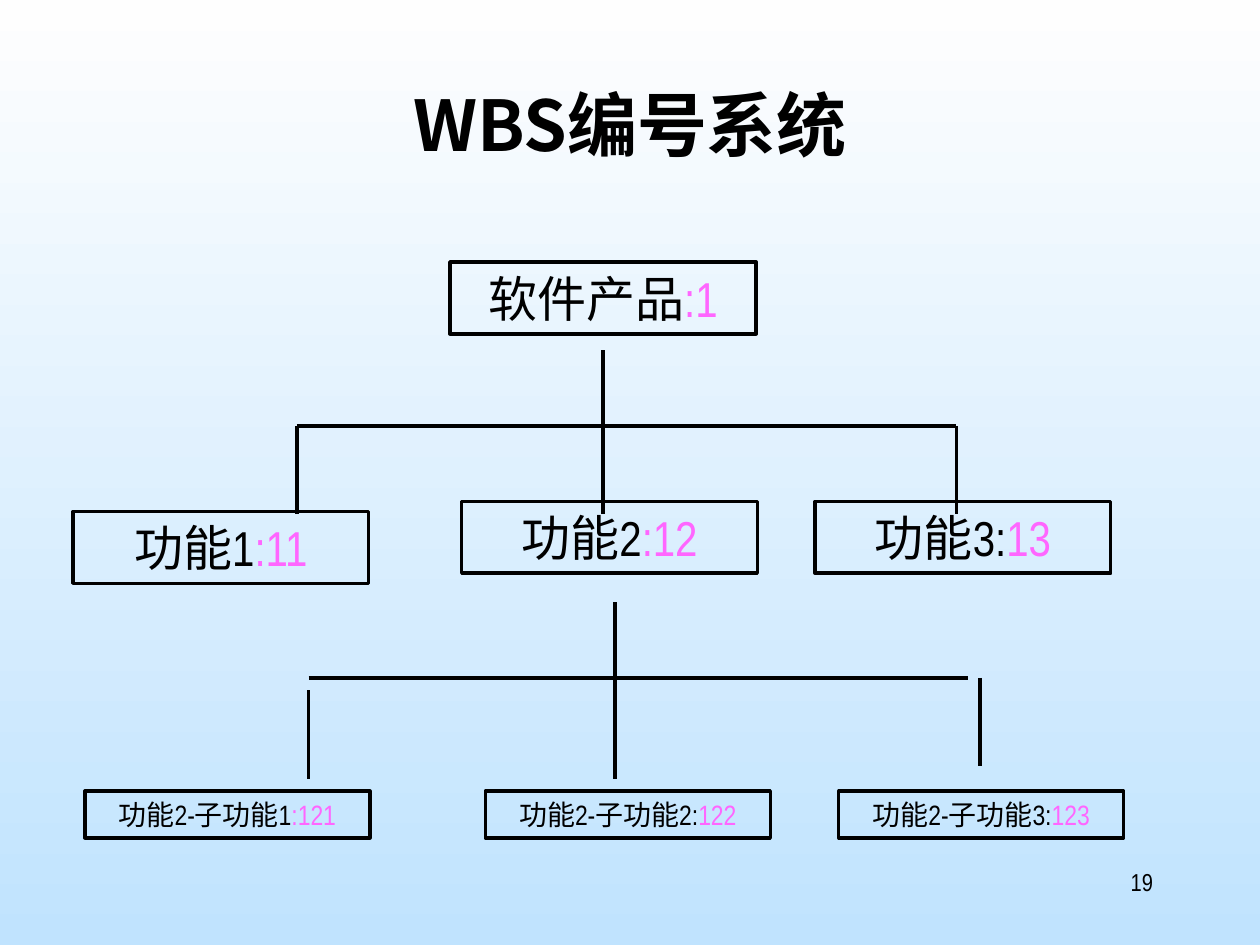
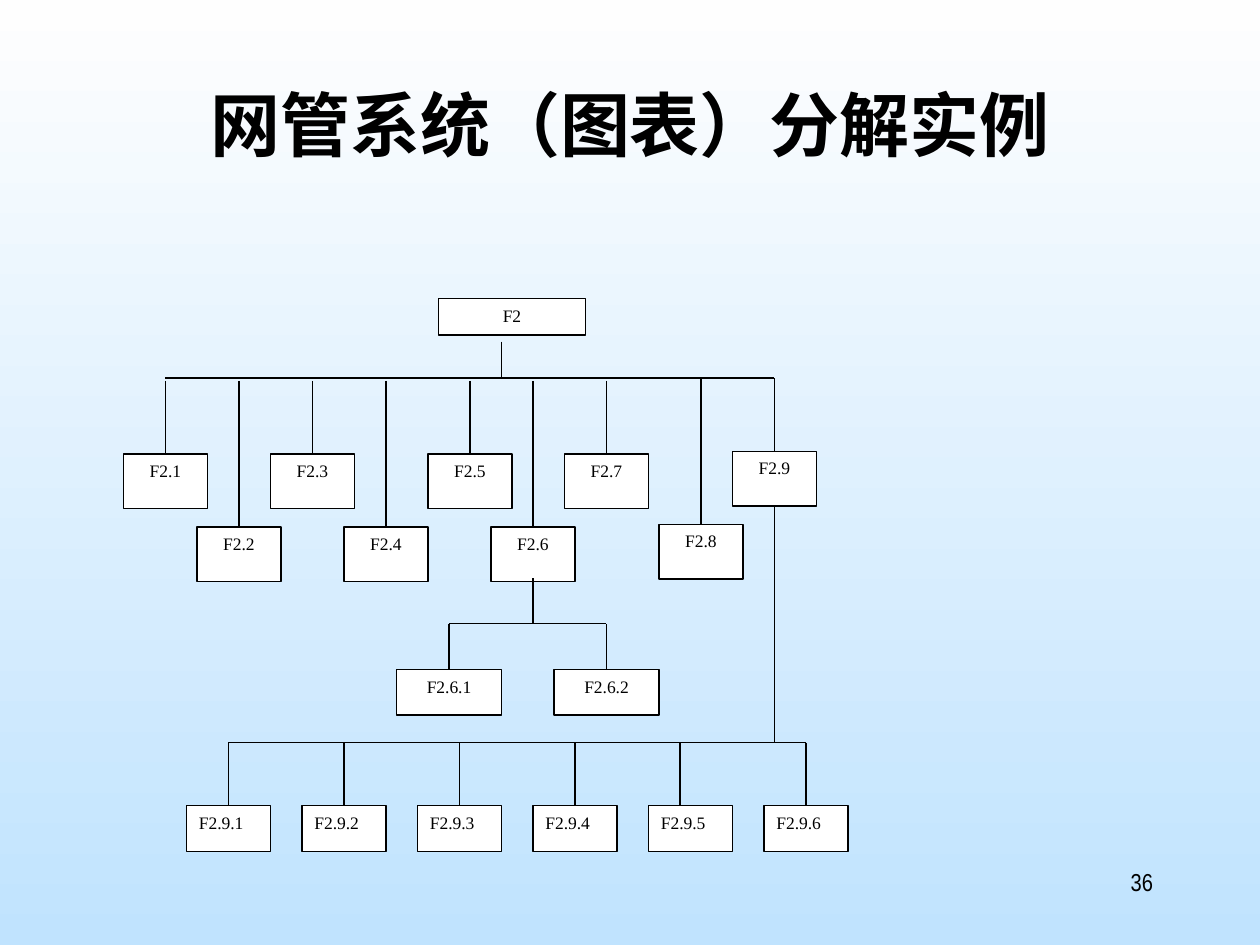
import dataclasses

import lxml.etree
import pptx
import pptx.dml.color
import pptx.enum.shapes
import pptx.enum.text
import pptx.oxml.ns
import pptx.util

BLACK, WHITE, PINK = "000000", "FFFFFF", "FF66FF"
SKY_TOP, SKY_BOTTOM = "FEFEFE", "C0E3FE"
TITLE_FONT, BODY_FONT, CHART_FONT = "Noto Sans CJK SC", "Arial Narrow", "Times New Roman"
SLIDE_WIDTH, SLIDE_HEIGHT = 10, 7.5
ALIGN = pptx.enum.text.PP_ALIGN


@dataclasses.dataclass
class Grid:
    """A box in inches, divided into columns and rows."""
    left: float
    top: float
    width: float
    height: float
    columns: int = 1
    rows: int = 1

    def x(self, column):
        return pptx.util.Inches(self.left + self.width * column / self.columns)

    def y(self, row):
        return pptx.util.Inches(self.top + self.height * row / self.rows)

    def frame(self, column, row, across, down):
        left, top = self.x(column), self.y(row)
        return left, top, self.x(column + across) - left, self.y(row + down) - top


TITLE_BOX = Grid(0.75, 0.67, 8.5, 1.25)
NUMBER_BOX = Grid(7.17, 6.83, 2.08, 0.5)
NUMBERING_BOX = Grid(0.58, 2.08, 8.32, 4.6, columns=89, rows=46)
BREAKDOWN_BOX = Grid(0.98, 2.37, 5.75, 4.35, columns=69, rows=60)


def color(value):
    return pptx.dml.color.RGBColor.from_string(value)


def write(frame, parts, font, size, align=ALIGN.CENTER, bold=False):
    """Fill a text frame with one paragraph of (text, colour) parts."""
    frame.word_wrap = True
    frame.vertical_anchor = pptx.enum.text.MSO_ANCHOR.TOP
    para = frame.paragraphs[0]
    para.alignment = align
    para.font.name, para.font.size, para.font.bold = font, pptx.util.Pt(size), bold
    para.font.color.rgb = color(BLACK)
    # East Asian letters take the same font
    latin = next(para._p.iter(pptx.oxml.ns.qn("a:latin")))
    east_asian = lxml.etree.Element(pptx.oxml.ns.qn("a:ea"), typeface=font)
    latin.addnext(east_asian)
    for text, ink in parts:
        span = para.add_run()
        span.text = text
        if ink != BLACK:
            span.font.color.rgb = color(ink)
    return para


def add_node(page, frame, line_width, fill=None):
    node = page.shapes.add_shape(pptx.enum.shapes.MSO_SHAPE.RECTANGLE, *frame)
    node.shadow.inherit = False
    if fill:
        node.fill.solid()
        node.fill.fore_color.rgb = color(fill)
    else:
        node.fill.background()
    node.line.color.rgb = color(BLACK)
    node.line.width = pptx.util.Pt(line_width)
    return node.text_frame


def add_lines(page, grid, lines, width):
    """Draw (column, row, column, row) lines on the grid."""
    for x1, y1, x2, y2 in lines:
        line = page.shapes.add_connector(
            pptx.enum.shapes.MSO_CONNECTOR.STRAIGHT,
            grid.x(x1), grid.y(y1), grid.x(x2), grid.y(y2))
        line.line.color.rgb = color(BLACK)
        line.line.width = pptx.util.Pt(width)
        lxml.etree.SubElement(line._element.spPr, pptx.oxml.ns.qn("a:effectLst"))


def paint_background(deck):
    fill = deck.slide_master.background.fill
    fill.gradient()
    fill.gradient_angle = 270
    for stop, shade in zip(fill.gradient_stops, (SKY_TOP, SKY_BOTTOM)):
        stop.color.rgb = color(shade)


def add_page(deck, heading, number):
    """Title-only slide with its heading and page number."""
    page = deck.slides.add_slide(deck.slide_layouts[5])
    title = page.shapes.title
    title.left, title.top, title.width, title.height = TITLE_BOX.frame(0, 0, 1, 1)
    para = write(title.text_frame, [(heading, BLACK)], TITLE_FONT, 40, bold=True)
    para.line_spacing = 0.9
    footer = page.shapes.add_textbox(*NUMBER_BOX.frame(0, 0, 1, 1))
    write(footer.text_frame, [(str(number), BLACK)], BODY_FONT, 14, ALIGN.RIGHT)
    return page


def draw_numbering(page, grid):
    # column, row, width, label, number
    large = [(32, 0, 26, "软件产品", ":1"),
             (0, 19.8, 25.1, "功能1", ":11"),
             (33, 19, 25.1, "功能2", ":12"),
             (63, 19, 25.1, "功能3:", "13")]
    small = [(1, 42, 24.2, "功能2-子功能1", ":121"),
             (35, 42, 24.2, "功能2-子功能2:", "122"),
             (65, 42, 24.2, "功能2-子功能3:", "123")]
    for nodes, height, size in ((large, 5.7, 28), (small, 3.7, 16)):
        for column, row, across, label, number in nodes:
            frame = add_node(page, grid.frame(column, row, across, height), 2)
            write(frame, [(label, BLACK), (number, PINK)], BODY_FONT, size)

    # Trunk, crossbar and two side drops on each level
    upper = [(45, 7, 45, 20), (19, 13, 75, 13), (19, 13, 19, 20), (75, 13, 75, 20)]
    lower = [(46, 27, 46, 41), (20, 33, 76, 33), (20, 34, 20, 41), (77, 33, 77, 40)]
    add_lines(page, grid, upper + lower, 2)


def draw_breakdown(page, grid):
    def add_label(column, row, across, down, label, align=ALIGN.CENTER):
        frame = add_node(page, grid.frame(column, row, across, down), 0.75, WHITE)
        write(frame, [(label, BLACK)], CHART_FONT, 10, align)

    # Root and its crossbar
    bar = 8.7
    add_label(30, 0, 14, 4, "F2")
    lines = [(36, 4.7, 36, bar), (4, bar, 62, bar)]

    # First level, staggered over two rows
    for index, column in enumerate((0, 7, 14, 21, 29, 35, 42, 51, 58), start=1):
        row = 17 if index % 2 else 25
        start = 9
        if index >= 8:
            row, start = (16.7 if index % 2 else 24.7), bar
        add_label(column, row, 8, 6, f"F2.{index}")
        lines.append((column + 4, start, column + 4, row))

    # Children of F2.6
    bar, row = 35.6, 40.6
    lines += [(39, 30.6, 39, bar), (31, bar, 46, bar)]
    for index, center in enumerate((31, 46), start=1):
        add_label(center - 5, row, 10, 5, f"F2.6.{index}")
        lines.append((center, bar, center, row))

    # Children of F2.9
    bar, row = 48.6, 55.5
    lines += [(62, 22.7, 62, bar), (10, bar, 65, bar)]
    for index, stem in enumerate((10, 21, 32, 43, 53, 65)):
        add_label(6 + 11 * index, row, 8, 5, f"F2.9.{index + 1}", ALIGN.JUSTIFY)
        lines.append((stem, bar, stem, row))
    add_lines(page, grid, lines, 0.75)


def main():
    deck = pptx.Presentation()
    deck.slide_width = pptx.util.Inches(SLIDE_WIDTH)
    deck.slide_height = pptx.util.Inches(SLIDE_HEIGHT)
    paint_background(deck)
    draw_numbering(add_page(deck, "WBS编号系统", 19), NUMBERING_BOX)
    draw_breakdown(add_page(deck, "网管系统（图表）分解实例", 36), BREAKDOWN_BOX)
    deck.save("out.pptx")


if __name__ == "__main__":
    main()
